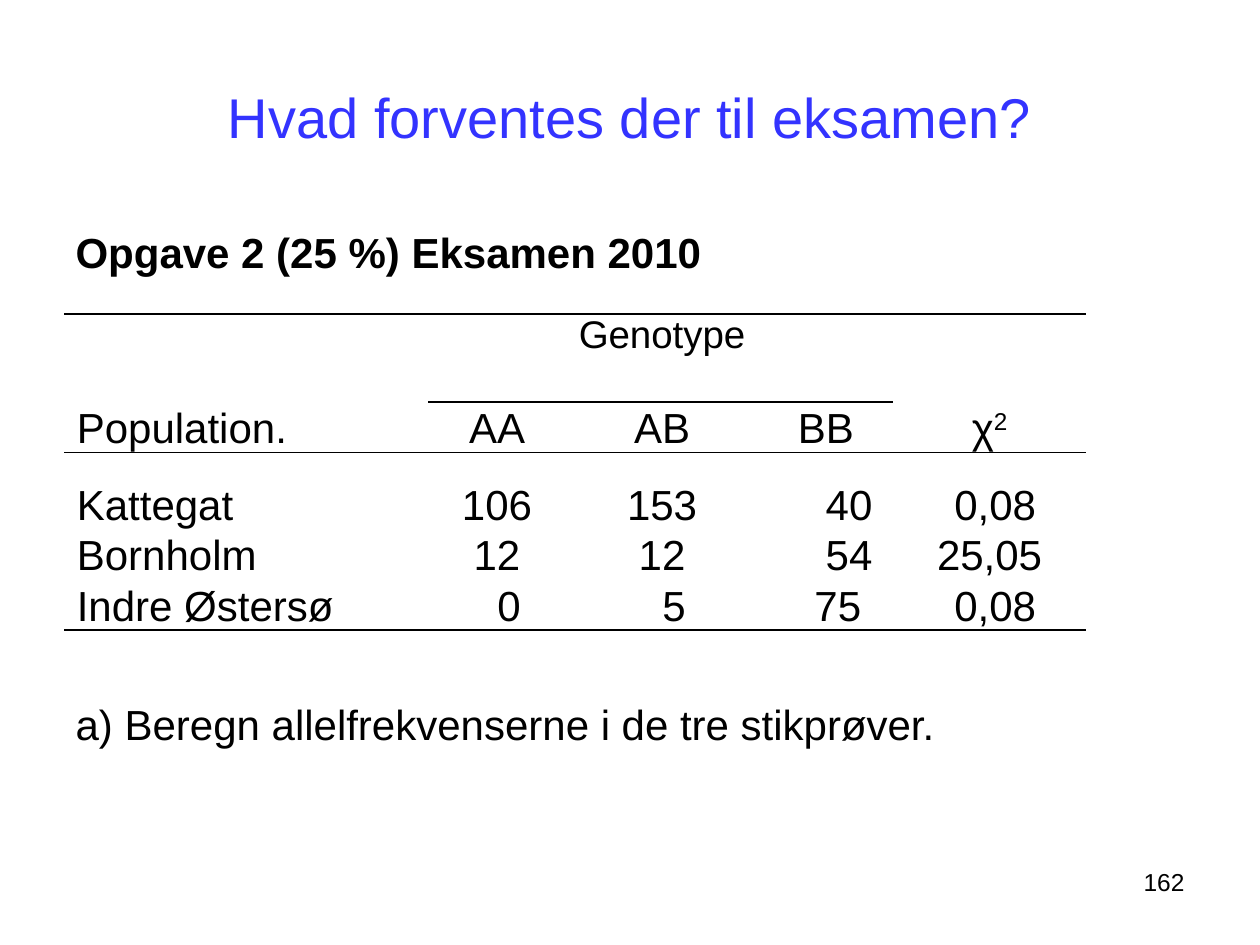
import pptx
import pptx.util
import pptx.dml.color
import pptx.enum.text
import pptx.oxml
import pptx.oxml.ns
import lxml.etree

Inches = pptx.util.Inches
Pt = pptx.util.Pt
ALIGN = pptx.enum.text.PP_ALIGN
ANCHOR = pptx.enum.text.MSO_ANCHOR
COLOURS = {"title": "3333FF", "text": "000000", "rule": "000000"}
NO_GRID_STYLE = "{2D5ABB26-0587-4C30-8999-92F81FD0307C}"
COLUMN_WIDTHS = [2.89, 1.09, 1.53, 1.07, 1.53]
ROW_HEIGHTS = [0.7, 0.4, 0.61, 0.4, 0.4]
ROWS = [
    ["", "", "Genotype", "", ""],
    ["Population.", "AA", "AB", "BB", "χ"],
    ["Kattegat", "106", "153", "40", "0,08"],
    ["Bornholm", "12", "12", "54", "25,05"],
    ["Indre Østersø", "0", "5", "75", "0,08"],
]
LEFT_SHIFTS = {
    (2, 3): 0.37, (3, 3): 0.37, (4, 3): 0.19, (4, 1): 0.19,
    (4, 2): 0.19, (2, 4): 0.09, (4, 4): 0.09,
}


def place(shape, box):
    """Move a shape to a (left, top, width, height) box in inches."""
    for name, length in zip(("left", "top", "width", "height"), box):
        setattr(shape, name, Inches(length))


def add_span(para, text, size, colour="text", **formats):
    """Add a formatted run to a paragraph."""
    span = para.add_run()
    span.text = text
    for name, value in {"name": "Arial", "size": Pt(size), **formats}.items():
        setattr(span.font, name, value)
    span.font.color.rgb = pptx.dml.color.RGBColor.from_string(COLOURS[colour])
    return span


def fill_title(page, box):
    """Write the slide title."""
    title = page.shapes.title
    place(title, box)
    title.text_frame.vertical_anchor = ANCHOR.MIDDLE
    para = title.text_frame.paragraphs[0]
    para.alignment = ALIGN.CENTER
    add_span(para, "Hvad forventes der til eksamen?", 32, "title")


def fill_body(page, box):
    """Write the exercise heading and the question below the table."""
    body = page.placeholders[1]
    place(body, box)
    frame = body.text_frame
    frame.auto_size = pptx.enum.text.MSO_AUTO_SIZE.NONE
    lines = [
        ("Opgave 2 (25 %) Eksamen 2010", True, 0),
        ("a) Beregn allelfrekvenserne i de tre stikprøver.", False, 241),
    ]
    for index, (text, bold, gap) in enumerate(lines):
        para = frame.add_paragraph() if index else frame.paragraphs[0]
        para.space_before = Pt(gap)
        properties = para._p.get_or_add_pPr()
        properties.set("marL", str(Inches(0.38)))
        properties.set("indent", str(-Inches(0.38)))
        lxml.etree.SubElement(properties, pptx.oxml.ns.qn("a:buNone"))
        add_span(para, text, 24, bold=bold)


def add_border(cell, side):
    """Rule one side of a cell, T for top or B for bottom."""
    cell._tc.get_or_add_tcPr().append(pptx.oxml.parse_xml(
        f'<a:ln{side} {pptx.oxml.ns.nsdecls("a")} w="{Pt(1)}"><a:solidFill>'
        f'<a:srgbClr val="{COLOURS["rule"]}"/></a:solidFill></a:ln{side}>'))


def border_sides(row, column):
    """Return the ruled sides of the cell at a row and column."""
    under_genotype = column in (1, 2, 3)
    top = row == 0 or (row == 1 and under_genotype)
    bottom = row in (1, len(ROWS) - 1) or (row == 0 and under_genotype)
    return ["T"] * top + ["B"] * bottom


def fill_cell(cell, row, column):
    """Write, align and rule one table cell."""
    margins = {
        "margin_left": Inches(0.1 + LEFT_SHIFTS.get((row, column), 0)),
        "margin_right": Inches(0.1), "margin_top": 0, "margin_bottom": 0,
        "vertical_anchor": ANCHOR.BOTTOM if row else ANCHOR.TOP,
    }
    for name, value in margins.items():
        setattr(cell, name, value)
    for side in border_sides(row, column):
        add_border(cell, side)
    cell.fill.background()
    text = ROWS[row][column]
    if text:
        para = cell.text_frame.paragraphs[0]
        para.alignment = ALIGN.CENTER if column else ALIGN.LEFT
        add_span(para, text, 24 if row else 22)
        if text == "χ":
            power = add_span(para, "2", 24)
            power._r.get_or_add_rPr().set("baseline", "30000")


def add_genotype_table(page, box):
    """Add the table of genotype counts per population."""
    frame = page.shapes.add_table(len(ROWS), len(COLUMN_WIDTHS), *map(Inches, box))
    table = frame.table
    table.first_row = table.horz_banding = False
    style = table._tbl.tblPr.find(pptx.oxml.ns.qn("a:tableStyleId"))
    style.text = NO_GRID_STYLE
    for column, width in zip(table.columns, COLUMN_WIDTHS):
        column.width = Inches(width)
    for row, height in zip(table.rows, ROW_HEIGHTS):
        row.height = Inches(height)
    for row in range(len(ROWS)):
        for column in range(len(COLUMN_WIDTHS)):
            fill_cell(table.cell(row, column), row, column)


def add_page_number(page, box):
    """Add the page number at the lower right."""
    number = page.shapes.add_textbox(*map(Inches, box))
    number.text_frame.word_wrap = True
    para = number.text_frame.paragraphs[0]
    para.alignment = ALIGN.RIGHT
    add_span(para, "162", 14)


def main():
    """Build and save the deck."""
    deck = pptx.Presentation()
    deck.slide_width, deck.slide_height = Inches(10), Inches(7.5)
    page = deck.slides.add_slide(deck.slide_layouts[1])
    add_page_number(page, (7.17, 6.83, 2.33, 0.52))
    fill_title(page, (0.5, 0.3, 9, 1.25))
    fill_body(page, (0.5, 1.75, 9, 4.95))
    add_genotype_table(page, (0.51, 2.49, sum(COLUMN_WIDTHS), sum(ROW_HEIGHTS)))
    deck.save("out.pptx")


if __name__ == "__main__":
    main()
